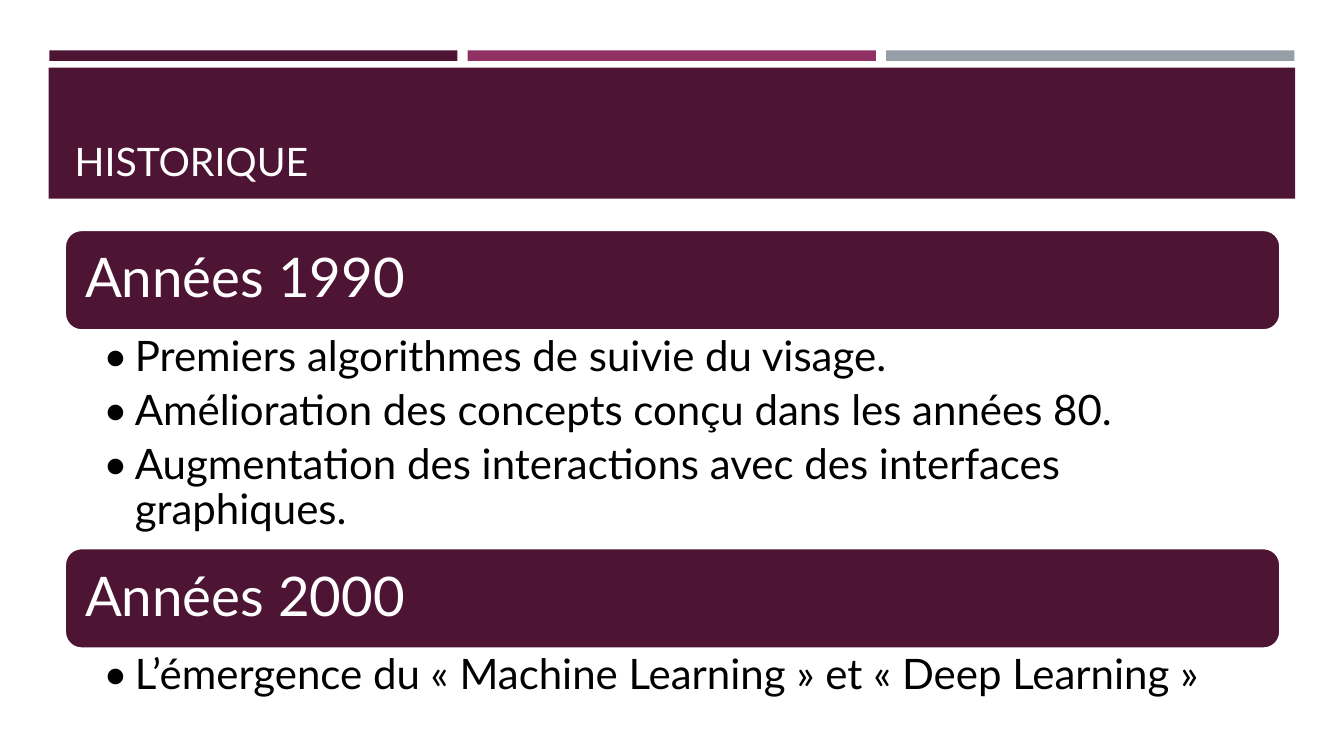
"""Build the slide "Historique": a title band above stacked decades with their bullet lists."""
from dataclasses import dataclass

from lxml.etree import SubElement
from pptx import Presentation
from pptx.dml.color import RGBColor
from pptx.enum.shapes import MSO_SHAPE
from pptx.enum.text import MSO_ANCHOR, PP_ALIGN
from pptx.oxml.ns import qn
from pptx.util import Pt

TITLE = "HISTORIQUE"
DECADES = [
    ("Années 1990", 155.5, [
        "Premiers algorithmes de suivie du visage.",
        "Amélioration des concepts conçu dans les années 80.",
        "Augmentation des interactions avec des interfaces graphiques.",
    ]),
    ("Années 2000", 51, [
        "L’émergence du «\u00a0Machine Learning\u00a0» et «\u00a0Deep Learning\u00a0»",
    ]),
]


@dataclass(frozen=True)
class Theme:
    font: str = "Lato"
    plum: str = "4D1434"
    berry: str = "903163"
    gray: str = "969FA7"
    white: str = "FFFFFF"
    black: str = "000000"
    title_size: int = 28
    heading_size: int = 39
    bullet_size: int = 30


THEME = Theme()
STRIPE_COLORS = (THEME.plum, THEME.berry, THEME.gray)
STRIPE_LEFT, STRIPE_TOP, STRIPE_WIDTH, STRIPE_HEIGHT, STRIPE_GAP = 35.2, 36, 291.6, 7.5, 7.3
BAND = (34.8, 48.4, 890.4, 93.6)
CONTENT_LEFT, CONTENT_WIDTH = 46.3, 868.3
TITLE_TOP, TITLE_HEIGHT = 55.4, 80
DECADES_TOP, HEADING_HEIGHT = 164.2, 71.8
BULLET_INDENT = 22.5


def add_block(page, kind, bounds, fill, outline=None):
    block = page.shapes.add_shape(kind, *map(Pt, bounds))
    block.shadow.inherit = False
    block.fill.solid()
    block.fill.fore_color.rgb = RGBColor.from_string(fill)
    if outline:
        block.line.color.rgb = RGBColor.from_string(outline)
        block.line.width = Pt(1.75)
    else:
        block.line.fill.background()
    return block


def write(box, lines, size, color, anchor, insets, spacing=1.0, after=0):
    frame = box.text_frame
    frame.word_wrap = True
    frame.vertical_anchor = anchor
    frame.margin_left, frame.margin_top, frame.margin_right, frame.margin_bottom = map(Pt, insets)
    frame.text = "\n".join(lines)
    for para in frame.paragraphs:
        para.alignment = PP_ALIGN.LEFT
        para.line_spacing = spacing
        para.space_after = Pt(after)
        para.font.name = THEME.font
        para.font.size = Pt(size)
        para.font.color.rgb = RGBColor.from_string(color)
    return frame.paragraphs


def add_bullet(para):
    properties = para._p.get_or_add_pPr()
    properties.set("marL", str(Pt(BULLET_INDENT)))
    properties.set("indent", str(-Pt(BULLET_INDENT)))
    SubElement(properties, qn("a:buFont")).set("typeface", THEME.font)
    SubElement(properties, qn("a:buChar")).set("char", "•")
    properties.append(properties.find(qn("a:defRPr")))


deck = Presentation()
deck.slide_width, deck.slide_height = Pt(960), Pt(540)
page = deck.slides.add_slide(deck.slide_layouts[6])

for index, color in enumerate(STRIPE_COLORS):
    left = STRIPE_LEFT + index * (STRIPE_WIDTH + STRIPE_GAP)
    add_block(page, MSO_SHAPE.RECTANGLE, (left, STRIPE_TOP, STRIPE_WIDTH, STRIPE_HEIGHT), color)

add_block(page, MSO_SHAPE.RECTANGLE, BAND, THEME.plum)
title_box = page.shapes.add_textbox(*map(Pt, (CONTENT_LEFT, TITLE_TOP, CONTENT_WIDTH, TITLE_HEIGHT)))
write(title_box, [TITLE], THEME.title_size, THEME.white, MSO_ANCHOR.BOTTOM, (7.2, 3.6, 7.2, 3.6))

top = DECADES_TOP
for heading, list_height, bullets in DECADES:
    heading_bounds = (CONTENT_LEFT, top, CONTENT_WIDTH, HEADING_HEIGHT)
    heading_box = add_block(page, MSO_SHAPE.ROUNDED_RECTANGLE, heading_bounds, THEME.plum, THEME.white)
    write(heading_box, [heading], THEME.heading_size, THEME.white, MSO_ANCHOR.MIDDLE,
          (11, 8, 11, 8), spacing=0.9)
    top += HEADING_HEIGHT
    list_box = page.shapes.add_textbox(*map(Pt, (CONTENT_LEFT, top, CONTENT_WIDTH, list_height)))
    for para in write(list_box, bullets, THEME.bullet_size, THEME.black, MSO_ANCHOR.TOP,
                      (27.5, 3.6, 21.6, 3.6), spacing=0.9, after=6):
        add_bullet(para)
    top += list_height

deck.save("out.pptx")
